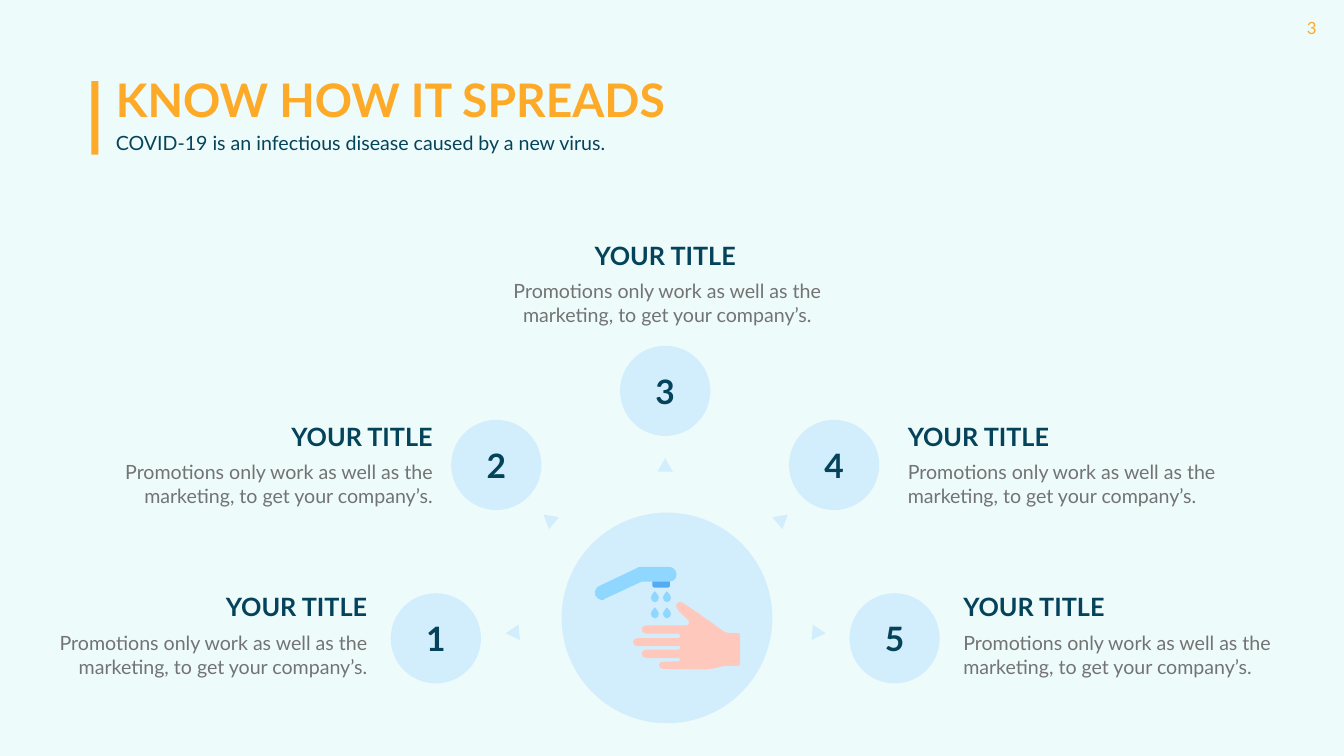
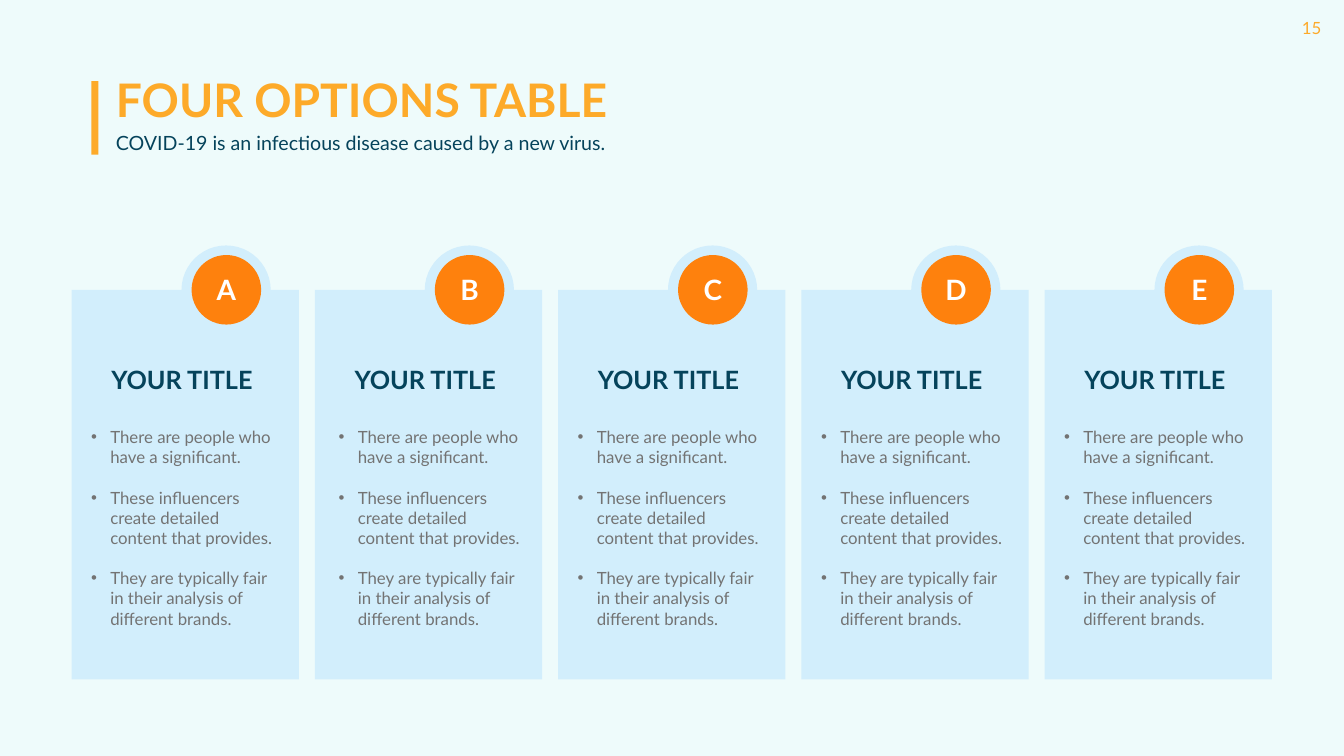
from lxml import etree
from pptx import Presentation
from pptx.dml.color import RGBColor
from pptx.enum.shapes import MSO_SHAPE
from pptx.enum.text import MSO_ANCHOR, MSO_AUTO_SIZE, PP_ALIGN
from pptx.oxml.ns import qn
from pptx.util import Inches, Pt

MINT = RGBColor(0xEC, 0xFB, 0xFB)
GOLD = RGBColor(0xFD, 0xAA, 0x29)
NAVY = RGBColor(0x05, 0x43, 0x5B)
PALE = RGBColor(0xD2, 0xEE, 0xFC)
GRAY = RGBColor(0x73, 0x73, 0x73)
FIRE = RGBColor(0xFE, 0x81, 0x0D)
WHITE = RGBColor(0xFF, 0xFF, 0xFF)
SKIN = RGBColor(0xFF, 0xC8, 0xBD)
WATER = RGBColor(0x8F, 0xD7, 0xFF)
BLUE = RGBColor(0x53, 0xAB, 0xF4)

LEFT, CENTER, RIGHT = PP_ALIGN.LEFT, PP_ALIGN.CENTER, PP_ALIGN.RIGHT
MIDDLE = MSO_ANCHOR.MIDDLE
GROW = MSO_AUTO_SIZE.SHAPE_TO_FIT_TEXT
RECT, ROUND = MSO_SHAPE.RECTANGLE, MSO_SHAPE.ROUNDED_RECTANGLE
OVAL, WEDGE = MSO_SHAPE.OVAL, MSO_SHAPE.ISOSCELES_TRIANGLE

FONT = "Lato"
WIDTH, HEIGHT = 26.66, 15
LABEL = "YOUR TITLE"
LEAD = "COVID-19 is an infectious disease caused by a new virus."
PROMO = "Promotions only work as well as the marketing, to get your company’s."
POINTS = (
    "There are people who have a significant.",
    "These influencers create detailed content that provides.",
    "They are typically fair in their analysis of different brands.",
)

STEPS = (
    ("1", 7.75, 11.77, 0.89, 11.69, RIGHT),
    ("2", 8.95, 8.33, 2.19, 8.3, RIGHT),
    ("3", 12.3, 6.86, 9.95, 4.71, CENTER),
    ("4", 15.65, 8.33, 17.91, 8.3, LEFT),
    ("5", 16.85, 11.77, 19.01, 11.69, LEFT),
)
ARROWS = (
    (10.01, 12.42, 265.3),
    (10.73, 10.16, 309.6),
    (13.04, 9.09, 0),
    (15.37, 10.16, 50.4),
    (16.09, 12.42, 94.7),
)
LISTS = (1.71, 6.62, 11.36, 16.19, 21.01)

HAND = (
    (14.65, 12.56), (14.51, 12.56),
    (14.43, 12.56, 14.36, 12.54, 14.3, 12.49),
    (14.04, 12.29, 13.56, 11.97, 13.56, 11.97),
    (13.53, 11.93, 13.46, 11.92, 13.43, 11.97),
    (13.39, 12.03, 13.43, 12.08, 13.47, 12.13),
    (13.65, 12.3), (13.69, 12.34, 13.66, 12.41, 13.61, 12.41),
    (12.82, 12.41), (12.78, 12.41, 12.74, 12.43, 12.73, 12.47),
    (12.72, 12.53, 12.76, 12.57, 12.82, 12.57),
    (13.46, 12.57), (13.48, 12.57, 13.49, 12.6, 13.49, 12.62),
    (13.49, 12.64, 13.48, 12.66, 13.46, 12.66),
    (12.65, 12.66), (12.6, 12.66, 12.57, 12.69, 12.56, 12.72),
    (12.55, 12.78, 12.59, 12.82, 12.64, 12.82),
    (13.47, 12.82), (13.48, 12.82, 13.49, 12.83, 13.49, 12.86),
    (13.49, 12.88, 13.48, 12.89, 13.47, 12.89),
    (12.82, 12.89), (12.78, 12.89, 12.74, 12.91, 12.73, 12.96),
    (12.72, 13, 12.76, 13.06, 12.82, 13.06),
    (13.47, 13.06), (13.48, 13.06, 13.49, 13.07, 13.49, 13.08),
    (13.49, 13.11, 13.48, 13.12, 13.47, 13.12),
    (13.15, 13.13), (13.12, 13.13, 13.07, 13.15, 13.07, 13.19),
    (13.07, 13.23, 13.1, 13.27, 13.15, 13.27),
    (13.67, 13.28), (14, 13.28),
    (14.04, 13.28, 14.21, 13.26, 14.32, 13.22),
    (14.36, 13.22, 14.39, 13.21, 14.43, 13.21),
    (14.65, 13.21), (14.67, 13.21, 14.68, 13.2, 14.68, 13.18),
    (14.68, 12.6), (14.68, 12.57, 14.67, 12.56, 14.65, 12.56),
)
TAP = (
    (11.95, 11.91), (11.89, 11.91, 11.84, 11.87, 11.81, 11.82),
    (11.79, 11.74, 11.81, 11.66, 11.88, 11.63),
    (12.64, 11.27), (12.65, 11.26, 12.67, 11.25, 12.7, 11.25),
    (13.28, 11.25), (13.36, 11.25, 13.42, 11.32, 13.42, 11.4),
    (13.42, 11.48, 13.36, 11.54, 13.28, 11.54),
    (12.73, 11.54), (12, 11.88),
    (11.98, 11.9, 11.96, 11.91, 11.95, 11.91),
)
DROP = (
    (0.16, 0.13), (0.16, 0.17, 0.13, 0.22, 0.08, 0.22),
    (0.04, 0.22, 0, 0.17, 0, 0.13),
    (0, 0.08, 0.08, 0, 0.08, 0), (0.08, 0, 0.16, 0.08, 0.16, 0.13),
)


class Deck:
    def __init__(self):
        self.prs = Presentation()
        self.prs.slide_width = Inches(WIDTH)
        self.prs.slide_height = Inches(HEIGHT)
        self.slide = None

    def page(self, title, number):
        self.slide = self.prs.slides.add_slide(self.prs.slide_layouts[6])
        wash = self.shape(RECT, 0, 0, WIDTH, HEIGHT, MINT)
        tint = wash._element.spPr.find(qn("a:solidFill"))[0]
        etree.SubElement(tint, qn("a:alpha")).set("val", "85000")
        self.text(25.54, 0.3, 0.96, 0.5, number, 24, GOLD, align=CENTER)
        self.shape(RECT, 1.15, 2.27, 1.46, 0.14, GOLD, 90)
        self.text(2.2, 1.36, 11.58, 1.21, title, 66, GOLD, True)
        self.text(2.2, 2.55, 10.03, 0.57, LEAD, 28, NAVY)

    def style(self, para, size, color, bold, align):
        para.alignment = align
        for run in para.runs:
            run.font.name = FONT
            run.font.size = Pt(size)
            run.font.bold = bold
            run.font.color.rgb = color

    def frame(self, x, y, w, h):
        box = self.slide.shapes.add_textbox(Inches(x), Inches(y), Inches(w), Inches(h))
        box.text_frame.word_wrap = True
        box.text_frame.auto_size = GROW
        return box.text_frame

    def text(self, x, y, w, h, words, size, color, bold=False, align=LEFT):
        frame = self.frame(x, y, w, h)
        frame.text = words
        self.style(frame.paragraphs[0], size, color, bold, align)

    def list(self, x, y, w, h, items, size, color):
        frame = self.frame(x, y, w, h)
        for index, item in enumerate(items):
            para = frame.add_paragraph() if index else frame.paragraphs[0]
            props = para._p.get_or_add_pPr()
            props.set("marL", str(Inches(0.38)))
            props.set("indent", str(-Inches(0.38)))
            etree.SubElement(props, qn("a:buFont")).set("typeface", "Arial")
            etree.SubElement(props, qn("a:buChar")).set("char", "•")
            para.text = item
            if index:
                para.space_before = Pt(size * 1.2)
            self.style(para, size, color, False, LEFT)

    def paint(self, shape, color):
        shape.shadow.inherit = False
        shape.fill.solid()
        shape.fill.fore_color.rgb = color
        shape.line.fill.background()
        return shape

    def shape(self, kind, x, y, w, h, color, turn=0):
        shape = self.slide.shapes.add_shape(kind, Inches(x), Inches(y), Inches(w), Inches(h))
        shape.rotation = turn
        return self.paint(shape, color)

    def badge(self, x, y, side, color, mark, size, ink):
        frame = self.shape(OVAL, x, y, side, side, color).text_frame
        frame.text = mark
        frame.vertical_anchor = MIDDLE
        self.style(frame.paragraphs[0], size, ink, True, CENTER)

    def form(self, parts, color, x=0, y=0):
        dots = [(Inches(x + part[-2]), Inches(y + part[-1])) for part in parts]
        maker = self.slide.shapes.build_freeform(*dots[0])
        maker.add_line_segments(dots[1:])
        shape = self.paint(maker.convert_to_shape(), color)
        lines = list(shape._element.iter(qn("a:lnTo")))
        for line, part in zip(lines, parts[1:]):
            if len(part) == 6:
                self.bend(line, part, Inches(x) - shape.left, Inches(y) - shape.top)

    def bend(self, line, part, dx, dy):
        curve = etree.Element(qn("a:cubicBezTo"))
        for a, b in zip(part[::2], part[1::2]):
            dot = etree.SubElement(curve, qn("a:pt"))
            dot.set("x", str(Inches(a) + dx))
            dot.set("y", str(Inches(b) + dy))
        line.getparent().replace(line, curve)


def spread(deck):
    deck.page("KNOW HOW IT SPREADS", "3")
    for mark, x, y, left, top, align in STEPS:
        deck.badge(x, y, 1.79, PALE, mark, 48, NAVY)
        shift = 0 if align == LEFT else 0.08
        deck.text(left, top, 6.49, 0.71, LABEL, 36, NAVY, True, align)
        deck.text(left + shift, top + 0.78, 6.41, 1.04, PROMO, 28, GRAY, align=align)
    for x, y, turn in ARROWS:
        deck.shape(WEDGE, x, y, 0.31, 0.27, PALE, turn)
    deck.shape(OVAL, 11.14, 10.17, 4.18, 4.18, PALE)
    deck.form(HAND, SKIN)
    for x in (12.91, 13.15):
        for y in (11.73, 12.05):
            deck.form(DROP, WATER, x, y)
    deck.shape(ROUND, 12.94, 11.38, 0.35, 0.28, BLUE)
    deck.form(TAP, WATER)


def options(deck):
    deck.page("FOUR OPTIONS TABLE", "15")
    for index, (mark, left) in enumerate(zip("ABCDE", LISTS)):
        x = 1.42 + index * 19.3 / 4
        deck.shape(RECT, x, 5.75, 4.51, 7.73, PALE)
        deck.shape(OVAL, x + 2.18, 4.87, 1.77, 1.77, PALE)
        deck.badge(x + 2.38, 5.06, 1.38, FIRE, mark, 40, WHITE)
        deck.list(left, 8.42, 3.94, 4.14, POINTS, 24, GRAY)
        deck.text(x + 0.69, 7.18, 3.54, 0.71, LABEL, 36, NAVY, True)


def main():
    deck = Deck()
    spread(deck)
    options(deck)
    deck.prs.save("out.pptx")


if __name__ == "__main__":
    main()
